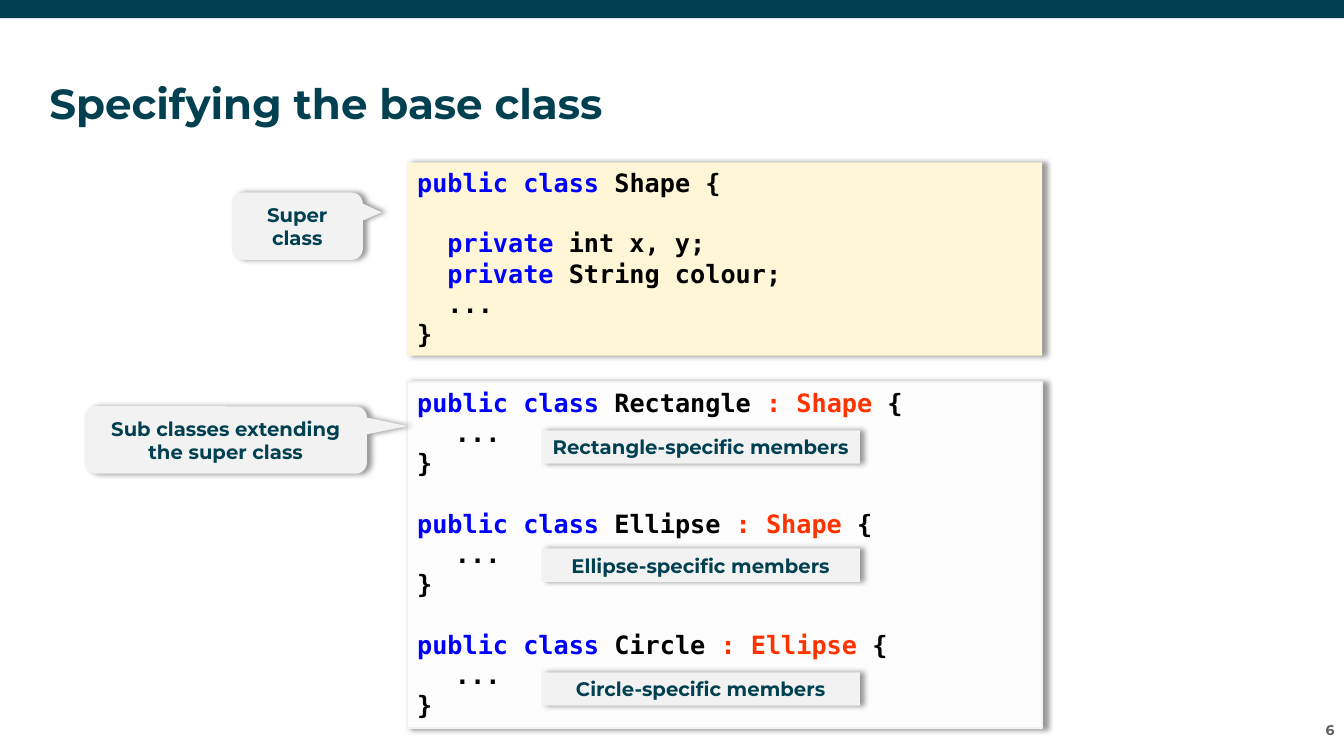
from lxml.etree import SubElement
from pptx import Presentation
from pptx.dml.color import RGBColor
from pptx.enum.shapes import MSO_SHAPE
from pptx.enum.text import MSO_ANCHOR, PP_ALIGN
from pptx.oxml.ns import qn
from pptx.util import Pt

# Content
COLOURS = {
    "teal": "004050", "grey": "5F5F5F", "cream": "FEF6D7", "paper": "FDFDFD",
    "pale": "F2F2F2", "keyword": "0000FF", "code": "000000", "base": "FF3300",
}
TITLE = "Specifying the base class"
PAGE_NUMBER = "6"
HEADING_FONT, CODE_FONT = "Montserrat", "DejaVu Sans Mono"

# Code lines: (indent, blank lines before, [(text, colour), ...])
SUPER_CODE = [
    (0, 0, [("public class ", "keyword"), ("Shape {", "code")]),
    (21.67, 1, [("private ", "keyword"), ("int x, y;", "code")]),
    (21.67, 0, [("private ", "keyword"), ("String colour;", "code")]),
    (21.67, 0, [("...", "code")]),
    (0, 0, [("}", "code")]),
]
SUB_CLASSES = [("Rectangle", "Shape"), ("Ellipse", "Shape"), ("Circle", "Ellipse")]
LABEL_TOPS = [307.4, 391.8, 480.3]
CALLOUTS = [
    ("Super class", (165.6, 137.5, 93.6, 48.2)),
    ("Sub classes extending the super class", (60.5, 290.2, 201.6, 48.2)),
]
CODE_LEFT, CODE_WIDTH = 290.9, 453.6
LINE_HEIGHT = 21.6


def colour(name):
    return RGBColor.from_string(COLOURS[name])


def add_span(para, text, font, size, tint):
    span = para.add_run()
    span.text = text
    span.font.name = font
    span.font.size = Pt(size)
    span.font.bold = True
    span.font.color.rgb = colour(tint)


def add_panel(page, kind, place, fill, shadow=True):
    box = page.shapes.add_shape(kind, *map(Pt, place))
    box.fill.solid()
    box.fill.fore_color.rgb = colour(fill)
    box.line.fill.background()
    box.shadow.inherit = False
    if shadow:
        effects = box._element.spPr.find(qn("a:effectLst"))
        outer = SubElement(effects, qn("a:outerShdw"), blurRad=str(Pt(4)),
                           dist=str(Pt(3)), dir="0", algn="l", rotWithShape="0")
        black = SubElement(outer, qn("a:srgbClr"), val="000000")
        SubElement(black, qn("a:alpha"), val="40000")
    return box


def add_caption(page, kind, place, text):
    box = add_panel(page, kind, place, "pale")
    frame = box.text_frame
    frame.word_wrap = True
    frame.vertical_anchor = MSO_ANCHOR.MIDDLE
    para = frame.paragraphs[0]
    para.alignment = PP_ALIGN.CENTER
    add_span(para, text, HEADING_FONT, 14, "teal")
    return box


def add_text(page, place, text, size, tint, align):
    frame = page.shapes.add_textbox(*map(Pt, place)).text_frame
    frame.word_wrap = True
    frame.vertical_anchor = MSO_ANCHOR.MIDDLE
    frame.margin_left = frame.margin_right = 0
    frame.margin_top = frame.margin_bottom = 0
    para = frame.paragraphs[0]
    para.alignment = align
    add_span(para, text, HEADING_FONT, size, tint)


def add_code(page, top, height, fill, lines):
    box = add_panel(page, MSO_SHAPE.RECTANGLE, (CODE_LEFT, top, CODE_WIDTH, height), fill)
    frame = box.text_frame
    frame.word_wrap = True
    frame.vertical_anchor = MSO_ANCHOR.TOP
    frame.margin_left, frame.margin_right = Pt(7.2), 0
    frame.margin_top = frame.margin_bottom = Pt(3.6)
    for number, (indent, gap, spans) in enumerate(lines):
        para = frame.add_paragraph() if number else frame.paragraphs[0]
        para.alignment = PP_ALIGN.LEFT
        para.line_spacing = Pt(LINE_HEIGHT)
        para.space_before = Pt(gap * LINE_HEIGHT)
        para._p.get_or_add_pPr().set("marL", str(Pt(indent)))
        for text, tint in spans:
            add_span(para, text, CODE_FONT, 18, tint)
    return box


def main():
    deck = Presentation()
    deck.slide_width, deck.slide_height = Pt(960), Pt(540)
    page = deck.slides.add_slide(deck.slide_layouts[6])

    # Top band, title and page number
    add_panel(page, MSO_SHAPE.RECTANGLE, (0, 0, 960, 13), "teal", shadow=False)
    add_text(page, (35.3, 39.6, 889.9, 67.7), TITLE, 30, "teal", PP_ALIGN.LEFT)
    add_text(page, (737.3, 506.9, 216, 28.8), PAGE_NUMBER, 10, "grey", PP_ALIGN.RIGHT)

    # Code panels
    add_code(page, 115.9, 138.2, "cream", SUPER_CODE)
    sub_code = []
    for number, (name, base) in enumerate(SUB_CLASSES):
        sub_code += [
            (0, min(number, 1), [("public class ", "keyword"), (name + " ", "code"),
                                 (": " + base, "base"), (" {", "code")]),
            (27, 0, [("...", "code")]),
            (0, 0, [("}", "code")]),
        ]
    panel = add_code(page, 272.9, 247, "paper", sub_code)
    panel.line.color.rgb = colour("pale")
    panel.line.width = Pt(1.5)

    # Member labels
    for (name, _), top in zip(SUB_CLASSES, LABEL_TOPS):
        add_caption(page, MSO_SHAPE.RECTANGLE, (386.8, top, 227.5, 23.8),
                    name + "-specific members")

    # Callouts
    for text, place in CALLOUTS:
        callout = add_caption(page, MSO_SHAPE.ROUNDED_RECTANGULAR_CALLOUT, place, text)
        for index, value in enumerate((0.644, -0.206, 0.167)):
            callout.adjustments[index] = value

    deck.save("out.pptx")


if __name__ == "__main__":
    main()
